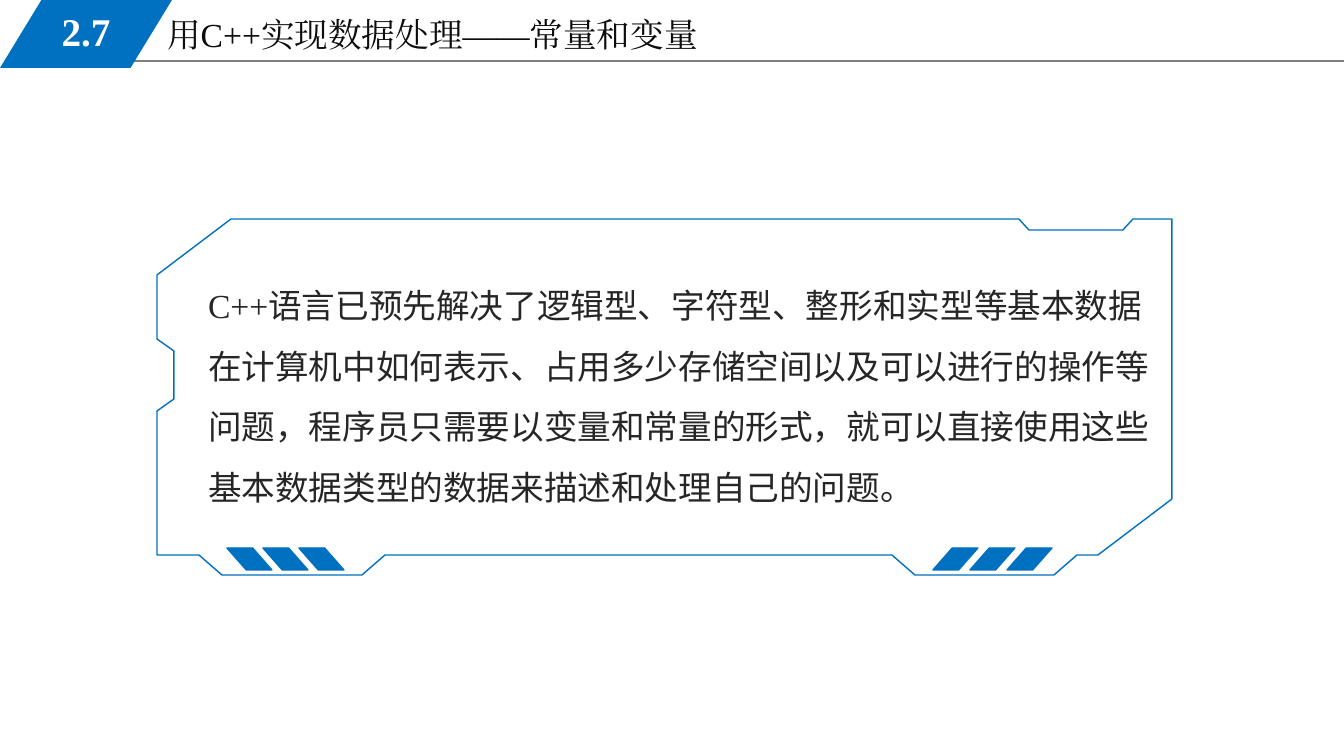
from pptx import Presentation, util as u
from pptx.dml.color import RGBColor
from pptx.enum import shapes, text
from pptx.oxml.ns import qn
from lxml import etree

PX = 12192000 / 1344
COLORS = {"blue": "0070C0", "rule": "7F7F7F", "title": "0D0D0D", "body": "262626", "white": "FFFFFF"}
SERIF, SANS = "Times New Roman", "Noto Sans CJK SC"

FRAME = [
    (915, 575), (1054, 575), (1077, 555), (1098, 555), (1172, 499), (1172, 219),
    (1133, 219), (1123, 230), (1029, 230), (1019, 219), (231, 219), (157, 275),
    (157, 339), (174, 351), (174, 399), (157, 411), (157, 555), (199, 555),
    (222, 575), (362, 575), (385, 555), (892, 555),
]
BODY = ("语言已预先解决了逻辑型、字符型、整形和实型等基本数据在计算机中如何表示、占用多少存储空间以及"
        "可以进行的操作等问题，程序员只需要以变量和常量的形式，就可以直接使用这些基本数据类型的数据来"
        "描述和处理自己的问题。")


def px(n):
    return u.Emu(round(n * PX))


def rgb(name):
    return RGBColor.from_string(COLORS[name])


def set_all(obj, values):
    for name, value in values.items():
        setattr(obj, name, value)


def place(sp, x, y, w, h):
    set_all(sp, {"left": px(x), "top": px(y), "width": px(w), "height": px(h)})


def write(sp, runs, color, size, anchor, para, bold=False):
    tf = sp.text_frame
    set_all(tf, {"word_wrap": True, "auto_size": text.MSO_AUTO_SIZE.NONE, "vertical_anchor": anchor})
    p = tf.paragraphs[0]
    pPr = p._p.get_or_add_pPr()
    pPr.set("marL", "0")
    pPr.set("indent", "0")
    etree.SubElement(pPr, qn("a:buNone"))
    set_all(p, {"space_before": u.Pt(0), **para})
    for words, font in runs:
        r = p.add_run()
        r.text = words
        set_all(r.font, {"size": u.Pt(size), "bold": bold, "name": font})
        r.font.color.rgb = rgb(color)
        etree.SubElement(r._r.get_or_add_rPr(), qn("a:ea")).set("typeface", font)


def outline(sp, color, width):
    sp.line.color.rgb = rgb(color)
    sp.line.width = u.Pt(width)


def add_rule(s, x1, x2, y):
    cxn = s.shapes.add_connector(shapes.MSO_CONNECTOR.STRAIGHT, px(x1), px(y), px(x2), px(y))
    outline(cxn, "rule", 0.75)
    etree.SubElement(cxn._element.spPr, qn("a:effectLst"))


def add_slant(parent, x, y, w, h, adj, flip=False):
    sp = parent.shapes.add_shape(shapes.MSO_SHAPE.PARALLELOGRAM, px(x), px(y), px(w), px(h))
    sp.adjustments[0] = adj
    sp.shadow.inherit = False
    sp.fill.solid()
    sp.fill.fore_color.rgb = rgb("blue")
    if flip:
        sp._element.spPr.xfrm.set("flipH", "1")
    return sp


def add_frame(parent):
    fb = parent.shapes.build_freeform(*FRAME[0], scale=PX)
    fb.add_line_segments(FRAME[1:], close=True)
    sp = fb.convert_to_shape()
    sp.shadow.inherit = False
    sp.fill.background()
    outline(sp, "blue", 1)


def add_bars(parent, x, step, flip):
    for i in range(3):
        outline(add_slant(parent, x + i * step, 548, 45, 22, 0.88, flip), "blue", 1)


def main():
    prs = Presentation()
    set_all(prs, {"slide_width": px(1344), "slide_height": px(756)})
    s = prs.slides.add_slide(prs.slide_layouts[1])
    title, body = s.placeholders
    left, top = text.PP_ALIGN.LEFT, text.MSO_ANCHOR.TOP

    add_rule(s, 114, 1344, 61)
    place(title, 157, 9, 572, 51)
    write(title, [("用C++实现数据处理——常量和变量", SERIF)], "title", 24, top, {"alignment": left})

    add_slant(s, 0, 0, 172, 68, 0.61).line.fill.background()
    number = s.shapes.add_textbox(px(25), px(2), px(122), px(58))
    write(number, [("2.7", SERIF)], "white", 28, text.MSO_ANCHOR.MIDDLE,
          {"alignment": text.PP_ALIGN.CENTER}, bold=True)

    place(body, 198, 260, 975, 254)
    write(body, [("C++", SERIF), (BODY, SANS)], "body", 24, top,
          {"alignment": left, "line_spacing": 1.5})

    panel = s.shapes.add_group_shape()
    add_frame(panel)
    add_bars(panel, 933, 37, False)
    add_bars(panel, 227, 36, True)
    prs.save("out.pptx")


if __name__ == "__main__":
    main()
